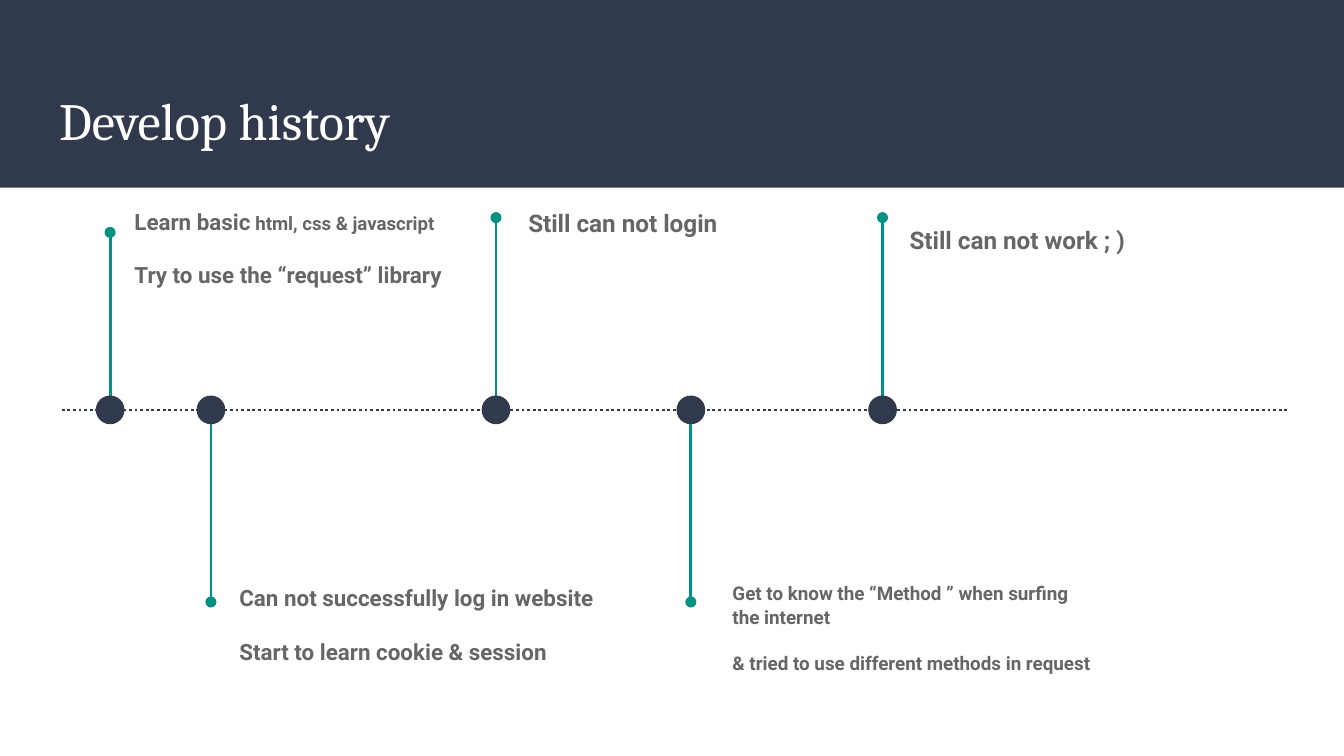
from lxml.etree import SubElement
from pptx import Presentation
from pptx.dml.color import RGBColor
from pptx.enum.dml import MSO_LINE
from pptx.enum.shapes import MSO_CONNECTOR, MSO_SHAPE
from pptx.enum.text import MSO_ANCHOR, MSO_AUTO_SIZE, PP_ALIGN
from pptx.oxml.ns import qn
from pptx.util import Pt

NAVY, TEAL, GREY, WHITE = "31394D", "009384", "666666", "FFFFFF"
WIDTH, HEIGHT = 720, 405
AXIS_Y, DOT = 219.6, 15.4

TITLE = [[("Develop history", 28)]]
# Stem x, stem tip y, text box (left, top, width, height), line spacing,
# paragraphs of (text, size) runs
MILESTONES = [
    (59, 124.5, (64.8, 102.2, 193, 76.3), 1.15,
     [[("Learn basic", 12), (" html, css & javascript", 10)],
      [("Try to use the “request” library", 12)]]),
    (113, 322.5, (121, 303.8, 209.5, 76.3), 1.15,
     [[("Can not successfully log in website", 12)],
      [("Start to learn cookie & session", 12)]]),
    (265.7, 116.6, (275.8, 102.2, 131, 69.1), 1.15,
     [[("Still can not login", 13)]]),
    (370.1, 322.5, (385.2, 303.8, 209.5, 76.3), 1.05,
     [[("Get to know the “Method ” when surfing the internet", 10.1)],
      [("& tried to use different methods in request", 10.1)]]),
    (472.8, 116.6, (480.2, 110.9, 236.2, 30.2), 1.15,
     [[("Still can not work ; )", 13)]]),
]


def rgb(color):
    return RGBColor.from_string(color)


def set_attrs(obj, values):
    for name, value in values.items():
        setattr(obj, name, value)


def place(shape, box):
    set_attrs(shape, dict(zip(("left", "top", "width", "height"), map(Pt, box))))


def add_solid(s, kind, box, color):
    shape = s.shapes.add_shape(kind, *map(Pt, box))
    shape.shadow.inherit = False
    shape.fill.solid()
    shape.fill.fore_color.rgb = rgb(color)
    shape.line.fill.background()
    return shape


def add_line(s, start, end, color):
    line = s.shapes.add_connector(MSO_CONNECTOR.STRAIGHT, *map(Pt, start + end))
    SubElement(line._element.spPr, qn("a:effectLst"))
    line.line.width = Pt(1.5)
    line.line.color.rgb = rgb(color)
    return line


def write(shape, paragraphs, font, color, bold, spacing, anchor):
    """Fill a text shape with unbulleted, left-aligned paragraphs."""
    tf = shape.text_frame
    set_attrs(tf, {"word_wrap": True, "auto_size": MSO_AUTO_SIZE.NONE,
                   "vertical_anchor": anchor})
    for side in ("left", "top", "right", "bottom"):
        setattr(tf, f"margin_{side}", Pt(7.2))
    for i, runs in enumerate(paragraphs):
        p = tf.add_paragraph() if i else tf.paragraphs[0]
        pPr = p._p.get_or_add_pPr()
        pPr.set("marL", "0")
        pPr.set("indent", "0")
        SubElement(pPr, qn("a:buNone"))
        gap = Pt(12 if i else 0)
        set_attrs(p, {"alignment": PP_ALIGN.LEFT, "line_spacing": spacing,
                      "space_before": gap, "space_after": gap})
        for text, size in runs:
            r = p.add_run()
            r.text = text
            set_attrs(r.font, {"name": font, "size": Pt(size), "bold": bold})
            r.font.color.rgb = rgb(color)


def main():
    prs = Presentation()
    prs.slide_width, prs.slide_height = Pt(WIDTH), Pt(HEIGHT)
    s = prs.slides.add_slide(prs.slide_layouts.get_by_name("Comparison"))
    title, *bodies = s.placeholders

    header = add_solid(s, MSO_SHAPE.RECTANGLE, (0, 0, WIDTH, 100.6), NAVY)
    s.shapes._spTree.insert(2, header._element)
    place(title, (24.5, 39.6, 671, 49))
    write(title, TITLE, "Cambria", WHITE, False, 1.0, MSO_ANCHOR.MIDDLE)

    axis = add_line(s, (33.1, AXIS_Y), (689.8, AXIS_Y), NAVY)
    axis.line.dash_style = MSO_LINE.ROUND_DOT

    for i, (x, tip, box, spacing, paragraphs) in enumerate(MILESTONES):
        edge = AXIS_Y + (DOT / 2 if tip > AXIS_Y else -DOT / 2)
        stem = add_line(s, (x, edge), (x, tip), TEAL)
        SubElement(stem.line._get_or_add_ln(), qn("a:tailEnd"), type="oval")
        add_solid(s, MSO_SHAPE.OVAL,
                  (x - DOT / 2, AXIS_Y - DOT / 2, DOT, DOT), NAVY)
        if i < len(bodies):
            label = bodies[i]
            place(label, box)
        else:
            label = s.shapes.add_textbox(*map(Pt, box))
        write(label, paragraphs, "Roboto", GREY, True, spacing, MSO_ANCHOR.TOP)

    prs.save("out.pptx")


if __name__ == "__main__":
    main()
